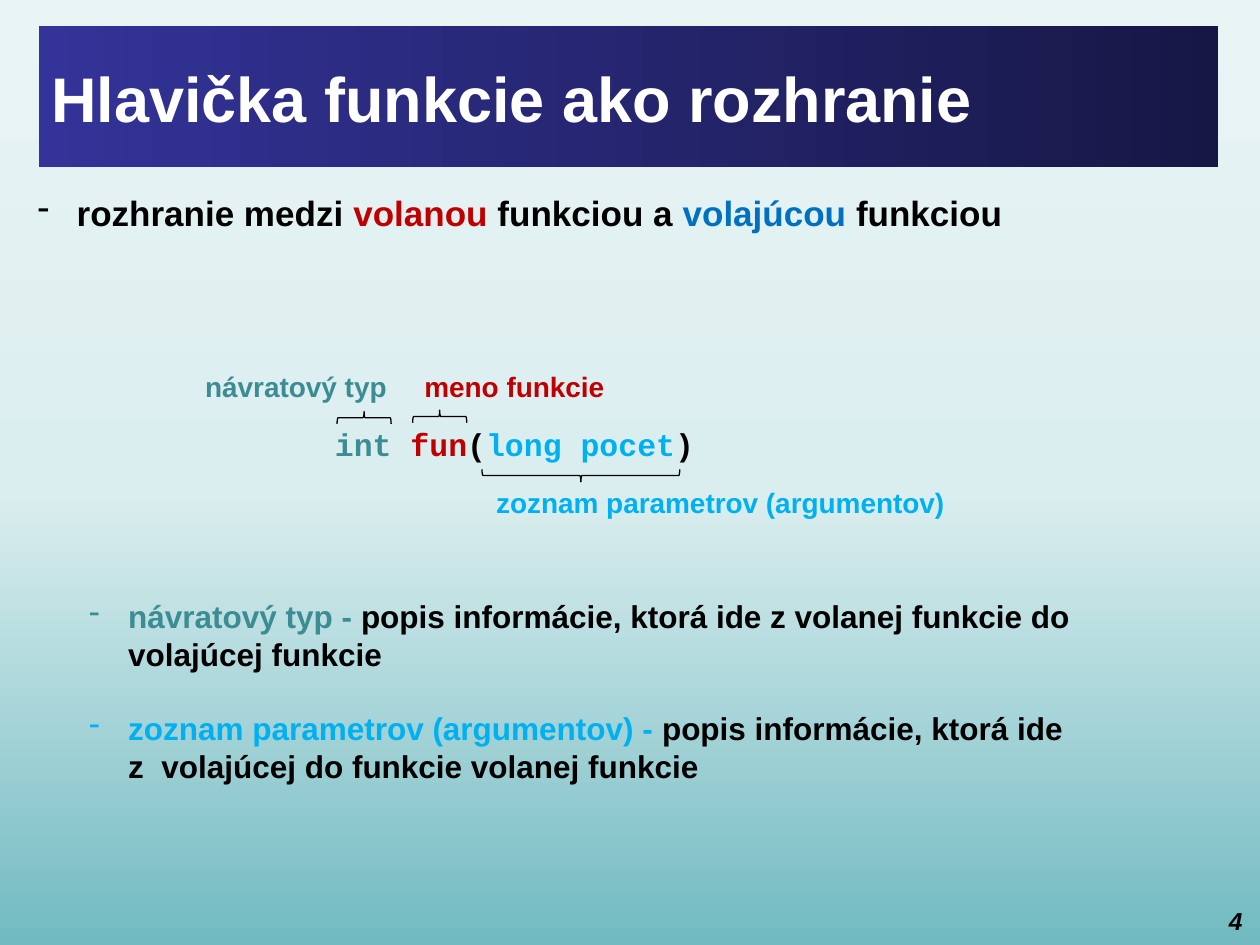
from copy import deepcopy

from lxml.etree import SubElement
from pptx import Presentation
from pptx.dml.color import RGBColor
from pptx.enum.shapes import MSO_SHAPE
from pptx.enum.text import MSO_ANCHOR, PP_ALIGN
from pptx.oxml.ns import qn
from pptx.util import Inches, Pt

COLUMN, ROW = Inches(10) / 100, Inches(7.5) / 100
BLACK, WHITE = "000000", "FFFFFF"
RED, BLUE, TEAL, CYAN = "C00000", "0070C0", "3C8C93", "00B0F0"
LABEL_ROWS = 4.93


def rgb(value):
    """Turn a hex string into a colour."""
    return RGBColor.from_string(value)


def place(columns, rows, width, height):
    """Convert percentages of the slide into a position and size."""
    return int(columns * COLUMN), int(rows * ROW), int(width * COLUMN), int(height * ROW)


def set_gradient(fill, angle, first, last):
    """Fill with a linear gradient between two colours."""
    fill.gradient()
    fill.gradient_angle = angle
    for stop, color, position in zip(fill.gradient_stops, (first, last), (0, 1)):
        stop.color.rgb = rgb(color)
        stop.position = position


def paint_background(slide):
    """Paint the three-stop gradient that rises from the bottom edge."""
    fill = slide.background.fill
    set_gradient(fill, 90, "71BAC1", "E9F4F5")
    stops = slide.element.find(".//" + qn("a:gsLst"))
    stops.insert(1, deepcopy(stops[0]))
    middle = fill.gradient_stops[1]
    middle.position = 0.48
    middle.color.rgb = rgb("DBEEEF")


def add_dash(paragraph):
    """Give a paragraph a hanging dash bullet."""
    properties = paragraph._p.get_or_add_pPr()
    properties.set("marL", str(Inches(0.31)))
    properties.set("indent", str(-Inches(0.31)))
    SubElement(properties, qn("a:buChar"), char="-")


def add_text(slide, area, *paragraphs, size=16, font="Arial", italic=False, align=None,
             anchor=MSO_ANCHOR.TOP, wrap=True, dash=False, line_spacing=None, gap=0):
    """Add bold paragraphs, each a list of (text, colour) runs."""
    box = slide.shapes.add_textbox(*place(*area))
    frame = box.text_frame
    frame.word_wrap = wrap
    frame.vertical_anchor = anchor
    for index, runs in enumerate(paragraphs):
        paragraph = frame.add_paragraph() if index else frame.paragraphs[0]
        if index:
            paragraph.space_before = Pt(gap)
        if line_spacing:
            paragraph.line_spacing = line_spacing
        if dash:
            add_dash(paragraph)
        paragraph.alignment = align
        for text, color in runs:
            if text == "\n":
                paragraph.add_line_break()
                continue
            run = paragraph.add_run()
            run.text = text
            run.font.name = font
            run.font.size = Pt(size)
            run.font.bold = True
            run.font.italic = italic
            run.font.color.rgb = rgb(color)
    return box


def add_brace(slide, center, middle, span, rotation):
    """Add a turned brace centred on a point and spanning some columns."""
    depth, length = int(COLUMN), int(span * COLUMN)
    brace = slide.shapes.add_shape(
        MSO_SHAPE.RIGHT_BRACE, int(center * COLUMN) - depth // 2,
        int(middle * ROW) - length // 2, depth, length)
    brace.rotation = rotation
    brace.shadow.inherit = False
    brace.fill.background()
    brace.line.color.rgb = rgb(BLACK)
    brace.line.width = Pt(0.75)


def add_signature(slide):
    """Add the function header with its labelled parts."""
    add_text(slide, (25.6, 43.73, 32.3, 6),
             [("int ", TEAL), ("fun", RED), ("(", BLACK), ("long pocet", CYAN), (")", BLACK)],
             size=18, font="Courier New", line_spacing=1.15)
    for part, color, left, top, width in (
            ("návratový typ", TEAL, 15.3, 38.4, 16.6),
            ("meno funkcie", RED, 32.7, 38.4, 16.4),
            ("zoznam parametrov (argumentov)", CYAN, 38.4, 50.67, 38.3)):
        add_text(slide, (left, top, width, LABEL_ROWS), [(part, color)], wrap=False)
    add_brace(slide, 28.9, 44.2, 4.3, 270)
    add_brace(slide, 34.9, 44.07, 4.3, 270)
    add_brace(slide, 46.1, 50.33, 15.7, 90)


def main():
    """Build and save the slide."""
    presentation = Presentation()
    presentation.slide_width, presentation.slide_height = Inches(10), Inches(7.5)
    slide = presentation.slides.add_slide(presentation.slide_layouts[6])
    paint_background(slide)
    title = add_text(slide, (3.1, 2.8, 93.6, 14.93),
                     [("Hlavička funkcie ako rozhranie", WHITE)],
                     size=36, anchor=MSO_ANCHOR.MIDDLE)
    set_gradient(title.fill, 0, "333399", "171746")
    add_text(slide, (94.3, 95.2, 5.3, 4.13), [("4", BLACK)],
             size=14, italic=True, align=PP_ALIGN.RIGHT)
    add_text(slide, (2, 19.6, 92.9, 11.2),
             [("rozhranie medzi ", BLACK), ("volanou", RED), (" funkciou a ", BLACK),
              ("volajúcou", BLUE), (" funkciou", BLACK)],
             size=20, dash=True)
    add_signature(slide)
    add_text(slide, (6.1, 62.53, 89.6, 33.6),
             [("návratový typ - ", TEAL),
              ("popis informácie, ktorá ide z volanej funkcie do volajúcej funkcie", BLACK)],
             [("zoznam parametrov (argumentov) - ", CYAN),
              ("popis informácie, ktorá ide", BLACK), ("\n", BLACK),
              ("z  volajúcej do funkcie volanej funkcie", BLACK)],
             size=18, dash=True, gap=21)
    presentation.save("out.pptx")


if __name__ == "__main__":
    main()
